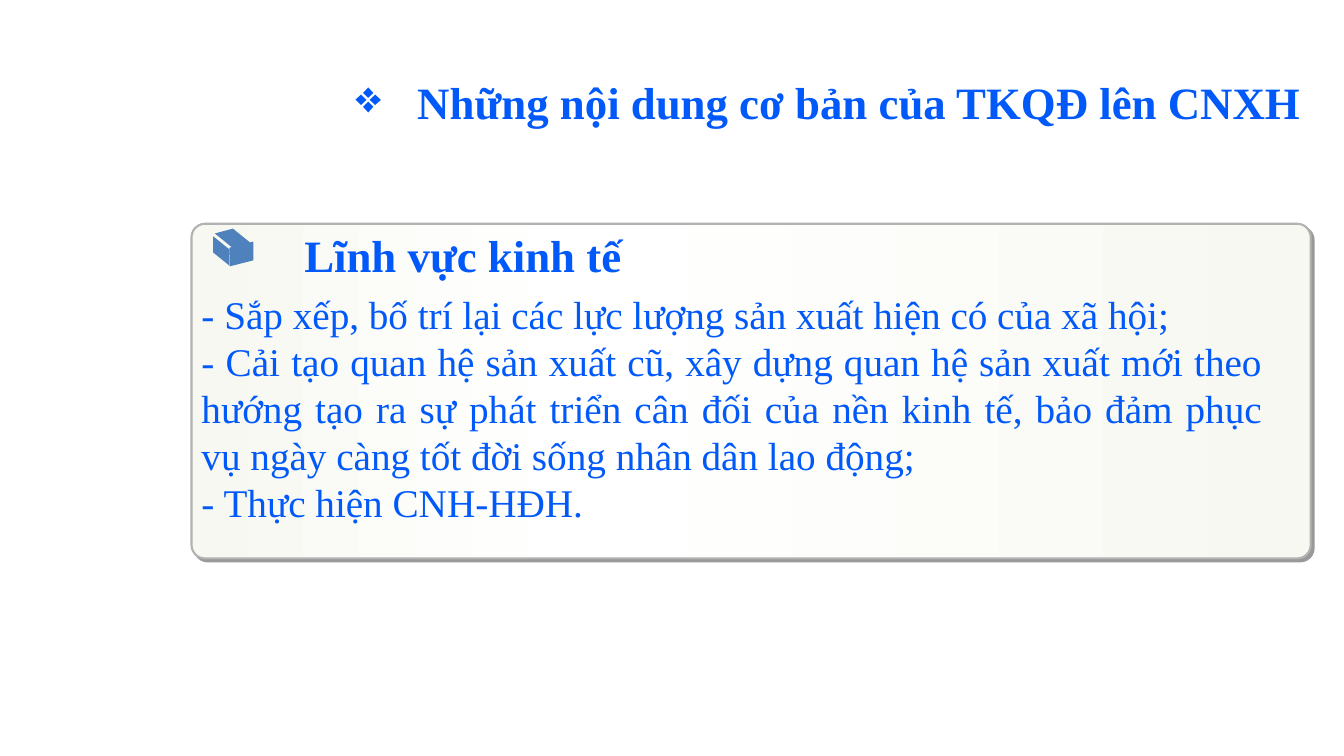
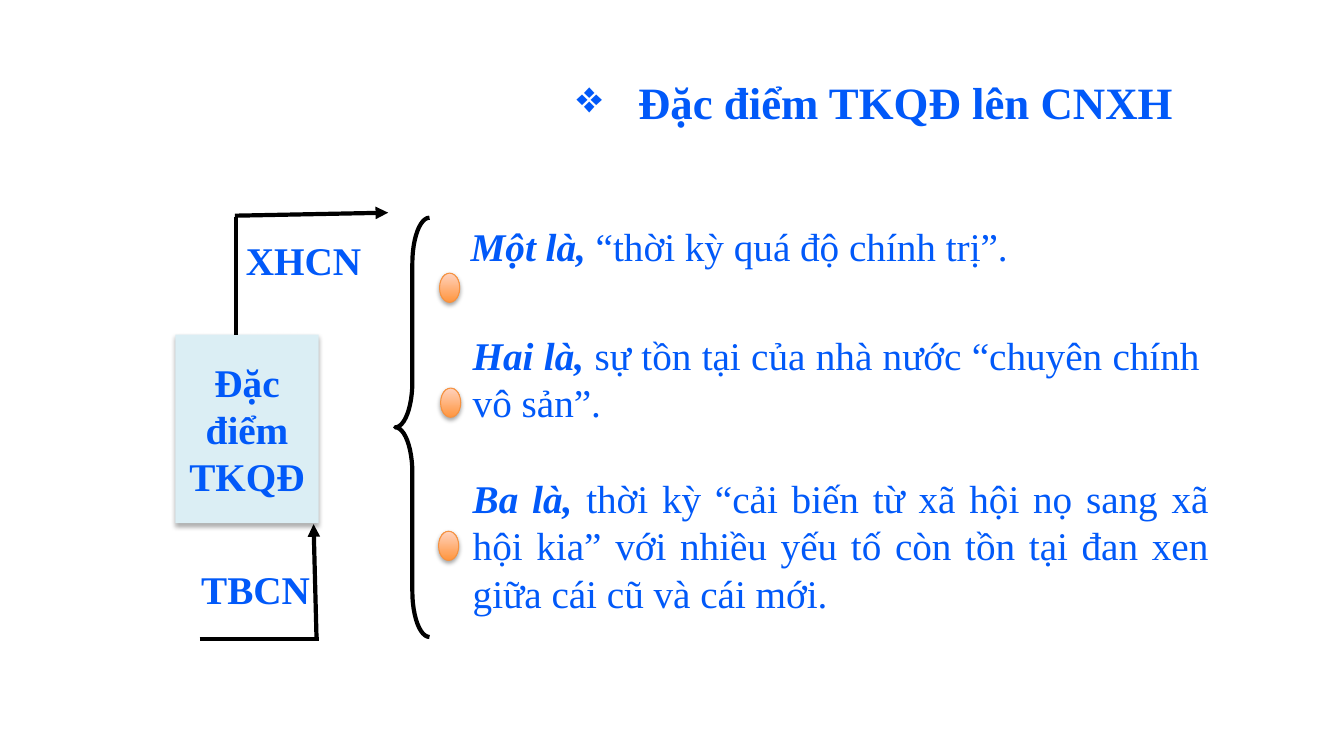
from lxml import etree
from pptx import Presentation
from pptx.dml.color import RGBColor
from pptx.enum import shapes, text
from pptx.oxml import ns
from pptx.util import Inches, Pt

FONT = "Times New Roman"
BLUE = "0159F9"
BLACK = "000000"
CUBE = "4F81BD"
TITLE_SIZE = 32
BODY_SIZE = 28
TITLE_INDENT = 0.61
JUSTIFY = text.PP_ALIGN.JUSTIFY
CENTER = text.PP_ALIGN.CENTER
SHAPE = shapes.MSO_SHAPE


def color(value):
    return RGBColor.from_string(value)


def add_element(parent, tag, **attributes):
    return etree.SubElement(parent, ns.qn(tag), attributes)


def style_font(font, size, bold=False, italic=False):
    font.name = FONT
    font.size = Pt(size)
    font.bold = bold
    font.italic = italic
    font.color.rgb = color(BLUE)


def fill_text(frame, content, size, bold=False, align=None):
    frame.text = content
    for paragraph in frame.paragraphs:
        paragraph.alignment = align
        for run in paragraph.runs:
            style_font(run.font, size, bold)


def add_text(slide, box, content, size=BODY_SIZE, bold=False, align=None):
    frame = slide.shapes.add_textbox(*map(Inches, box)).text_frame
    frame.word_wrap = True
    fill_text(frame, content, size, bold, align)
    return frame


def add_title(slide, left, width, content):
    frame = add_text(slide, (left, 0.69, width, 0.64), content, TITLE_SIZE, True)
    paragraph = frame.paragraphs[0]
    properties = paragraph._p.get_or_add_pPr()
    indent = Inches(TITLE_INDENT)
    properties.set("marL", str(indent))
    properties.set("indent", str(-indent))
    add_element(properties, "a:buChar", char="❖")


def add_statement(slide, box, lead, body):
    paragraph = add_text(slide, box, lead, align=JUSTIFY).paragraphs[0]
    style_font(paragraph.runs[0].font, BODY_SIZE, True, True)
    run = paragraph.add_run()
    run.text = body
    style_font(run.font, BODY_SIZE)


def add_shape(slide, kind, box, fill=None, line=None, width=1, adjustment=None, rotation=0):
    shape = slide.shapes.add_shape(kind, *map(Inches, box))
    shape.shadow.inherit = False
    shape.rotation = rotation
    if adjustment is not None:
        shape.adjustments[0] = adjustment
    if fill:
        shape.fill.solid()
        shape.fill.fore_color.rgb = color(fill)
    else:
        shape.fill.background()
    if line:
        shape.line.color.rgb = color(line)
        shape.line.width = Pt(width)
    else:
        shape.line.fill.background()
    return shape


def set_gradient(shape, stops, angle):
    shape.fill.gradient()
    shape.fill.gradient_angle = angle
    stop_list = shape.element.spPr.find(".//" + ns.qn("a:gsLst"))
    for stop in list(stop_list):
        stop_list.remove(stop)
    for position, value in stops:
        stop = add_element(stop_list, "a:gs", pos=str(position * 1000))
        add_element(stop, "a:srgbClr", val=value)


def set_shadow(shape, opacity, blur, distance, direction):
    effects = shape.element.spPr.find(ns.qn("a:effectLst"))
    shadow = add_element(effects, "a:outerShdw", blurRad=str(Pt(blur)), dist=str(Pt(distance)),
                         dir=str(direction * 60000), algn="ctr", rotWithShape="0")
    shade = add_element(shadow, "a:srgbClr", val=BLACK)
    add_element(shade, "a:alpha", val=str(opacity * 1000))


def add_line(slide, start, end, arrow=False):
    connector = slide.shapes.add_connector(
        shapes.MSO_CONNECTOR.STRAIGHT, *map(Inches, start + end))
    connector.line.color.rgb = color(BLACK)
    connector.line.width = Pt(3)
    properties = connector.element.spPr
    if arrow:
        add_element(properties.find(ns.qn("a:ln")), "a:tailEnd", type="triangle")
    add_element(properties, "a:effectLst")


def add_marker(slide, left, top):
    marker = add_shape(slide, SHAPE.OVAL, (left, top, 0.2, 0.29), line="F69240", width=0.75)
    set_gradient(marker, [(0, "FF953E"), (100, "FFD2BD")], 90)
    set_shadow(marker, 35, 3.1, 1.8, 90)


def add_cube(slide):
    faces = [
        ((2.14, 2.29, 0.34, 0.15), 39, 0.73),
        ((2.25, 2.43, 0.29, 0.18), 345.6, 0.25),
        ((2.05, 2.41, 0.29, 0.16), 90, 0.81),
    ]
    for box, rotation, slant in faces:
        add_shape(slide, SHAPE.PARALLELOGRAM, box, CUBE, adjustment=slant, rotation=rotation)


def build_contents(slide):
    add_title(slide, 3.43, 9.71, "Những nội dung cơ bản của TKQĐ lên CNXH")
    panel = add_shape(slide, SHAPE.ROUNDED_RECTANGLE, (1.9, 2.22, 11.1, 3.32),
                      line="B2B2B2", width=1.5, adjustment=0.04)
    set_gradient(panel, [(0, "F8F8F2"), (35, "FFFFFF"), (100, "F8F8F2")], 0)
    set_shadow(panel, 40, 0, 3, 45)
    points = [
        "- Sắp xếp, bố trí lại các lực lượng sản xuất hiện có của xã hội;",
        "- Cải tạo quan hệ sản xuất cũ, xây dựng quan hệ sản xuất mới theo hướng tạo ra sự "
        "phát triển cân đối của nền kinh tế, bảo đảm phục vụ ngày càng tốt đời sống nhân dân "
        "lao động;",
        "- Thực hiện CNH-HĐH.",
    ]
    add_text(slide, (1.9, 2.83, 10.72, 2.46), "\n".join(points), align=JUSTIFY)
    add_text(slide, (2.92, 2.21, 3.66, 0.64), "Lĩnh vực kinh tế", TITLE_SIZE, True, JUSTIFY)
    add_cube(slide)


def build_features(slide):
    add_title(slide, 5.62, 6.71, "Đặc điểm TKQĐ lên CNXH")
    topic = add_shape(slide, SHAPE.RECTANGLE, (1.74, 3.32, 1.42, 1.87), "DBEEF4")
    set_shadow(topic, 32, 3.5, 2.2, 90)
    topic.text_frame.word_wrap = False
    topic.text_frame.vertical_anchor = text.MSO_ANCHOR.MIDDLE
    fill_text(topic.text_frame, "Đặc\nđiểm\nTKQĐ", BODY_SIZE, True, CENTER)

    add_text(slide, (1.2, 5.56, 2.67, 0.57), "TBCN", bold=True, align=CENTER)
    add_text(slide, (2.34, 2.3, 2.73, 0.57), "XHCN", bold=True)
    add_line(slide, (1.98, 6.34), (3.16, 6.34))
    add_line(slide, (3.14, 6.35), (3.11, 5.2), arrow=True)
    add_line(slide, (2.34, 2.15), (2.34, 3.32))
    add_line(slide, (2.33, 2.14), (3.85, 2.11), arrow=True)
    add_shape(slide, SHAPE.LEFT_BRACE, (3.92, 2.16, 0.34, 4.16),
              line=BLACK, width=3, adjustment=1.33)

    statements = [
        ((4.57, 2.16, 6.83, 0.57), "Một là,", " “thời kỳ quá độ chính trị”.", (4.36, 2.71)),
        ((4.59, 3.24, 7.41, 1.04), "Hai là, ",
         "sự tồn tại của nhà nước “chuyên chính vô sản”.", (4.37, 3.85)),
        ((4.59, 4.66, 7.5, 1.51), "Ba là, ",
         "thời kỳ “cải biến từ xã hội nọ sang xã hội kia” với nhiều yếu tố còn tồn tại "
         "đan xen giữa cái cũ và cái mới.", (4.35, 5.27)),
    ]
    for box, lead, body, marker in statements:
        add_statement(slide, box, lead, body)
        add_marker(slide, *marker)


def main():
    presentation = Presentation()
    presentation.slide_width = Inches(13.33)
    presentation.slide_height = Inches(7.5)
    for build in (build_contents, build_features):
        build(presentation.slides.add_slide(presentation.slide_layouts[6]))
    presentation.save("out.pptx")


if __name__ == "__main__":
    main()
